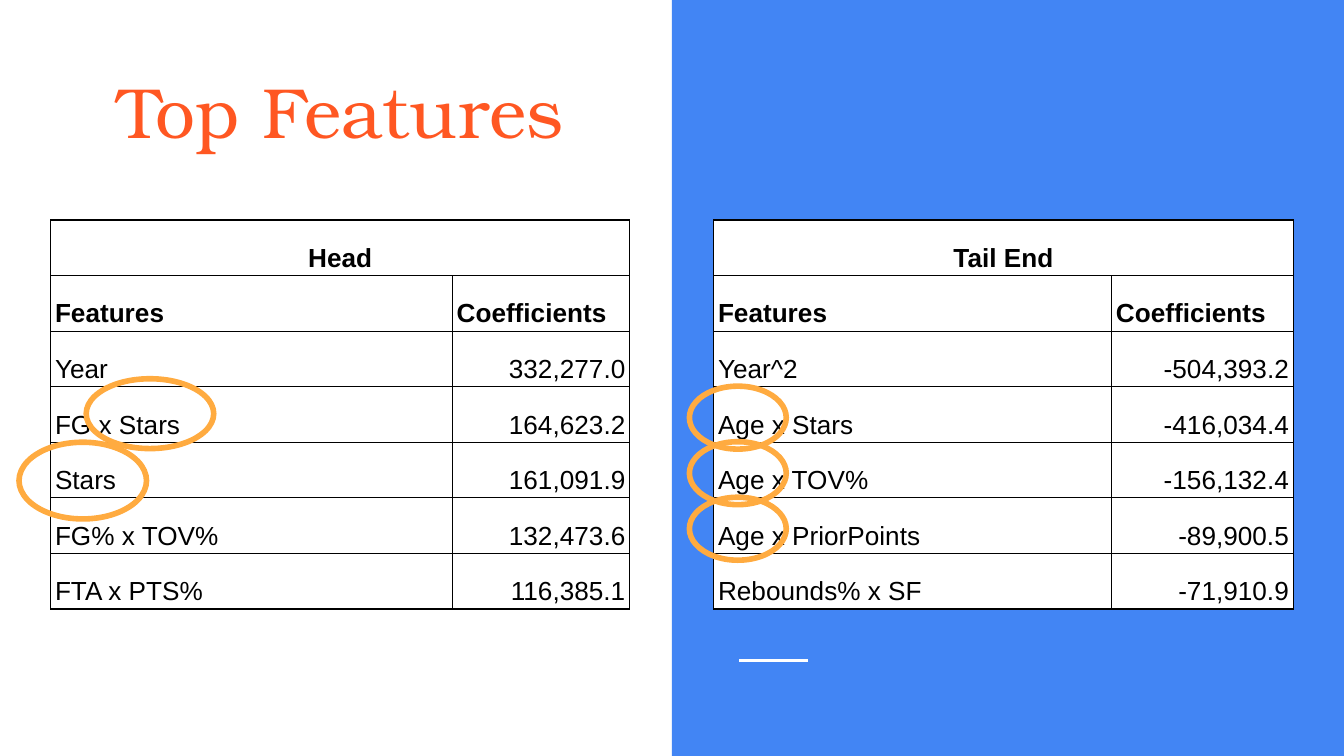
"""Build the Top Features slide with its two coefficient tables."""
from lxml.etree import SubElement as Sub
from pptx import Presentation
from pptx.dml.color import RGBColor as RGB
from pptx.enum.shapes import MSO_CONNECTOR as Link, MSO_SHAPE as Form
from pptx.enum.text import MSO_ANCHOR as Anchor, PP_ALIGN as Align
from pptx.oxml import parse_xml
from pptx.oxml.ns import nsdecls, qn
from pptx.util import Cm, Pt

theme = {
    "white": RGB.from_string("FFFFFF"),
    "black": RGB.from_string("000000"),
    "blue": RGB.from_string("4285F4"),
    "red": RGB.from_string("FF5722"),
    "gold": RGB.from_string("FFAB40"),
    "title": {"name": "TeX Gyre Bonum", "size": Pt(38), "bold": False},
    "cell": {"name": "Arial", "size": Pt(14)},
}
frame = {"word_wrap": True, "vertical_anchor": Anchor.MIDDLE,
         "margin_left": Cm(0.25), "margin_right": Cm(0.25),
         "margin_top": Cm(0.25), "margin_bottom": Cm(0.25)}
inset = {"vertical_anchor": Anchor.BOTTOM,
         "margin_left": Cm(0.08), "margin_right": Cm(0.08),
         "margin_top": Cm(0.05), "margin_bottom": Cm(0.05)}
heads = ("Features", "Coefficients")
tables = [
    (0.96, (7.59, 3.35), "Head", [
        ("Year", "332,277.0"), ("FG x Stars", "164,623.2"),
        ("Stars", "161,091.9"), ("FG% x TOV%", "132,473.6"),
        ("FTA x PTS%", "116,385.1")]),
    (13.49, (7.52, 3.43), "Tail End", [
        ("Year^2", "-504,393.2"), ("Age x Stars", "-416,034.4"),
        ("Age x TOV%", "-156,132.4"), ("Age x PriorPoints", "-89,900.5"),
        ("Rebounds% x SF", "-71,910.9")]),
]
step = 1.05
rings = [(1.63, 7.16, 2.41, 1.32), (0.36, 8.36, 2.41, 1.45)]
rings += [(13.03, 7.3 + i * step, 1.83, 1.19) for i in range(3)]


def style(item, vals):
    for key, val in vals.items():
        setattr(item, key, val)


def border(cell):
    props = cell._tc.get_or_add_tcPr()
    for i, side in enumerate(("lnL", "lnR", "lnT", "lnB")):
        props.insert(i, parse_xml(
            f'<a:{side} {nsdecls("a")} w="{Pt(0.75)}"><a:solidFill>'
            f'<a:srgbClr val="{theme["black"]}"/></a:solidFill></a:{side}>'))


deck = Presentation()
style(deck, {"slide_width": Cm(25.4), "slide_height": Cm(14.29)})
slide = deck.slides.add_slide(deck.slide_layouts[5])
shapes = slide.shapes

title = shapes.title
style(title, {"left": Cm(-1.45), "top": Cm(0.28),
              "width": Cm(15.77), "height": Cm(3.61)})
title.text = "Top Features"
style(title.text_frame, frame)
para = title.text_frame.paragraphs[0]
para.alignment = Align.CENTER
style(para.runs[0].font, theme["title"])
para.runs[0].font.color.rgb = theme["red"]

panel = shapes.add_shape(Form.RECTANGLE, Cm(12.7), 0, Cm(12.7), Cm(14.29))
panel.shadow.inherit = False
panel.fill.solid()
panel.fill.fore_color.rgb = theme["blue"]
panel.line.fill.background()

dash = shapes.add_connector(
    Link.STRAIGHT, Cm(13.97), Cm(12.48), Cm(15.27), Cm(12.48))
dash.line.color.rgb = theme["white"]
dash.line.width = Pt(1.5)
Sub(dash._element.spPr, qn("a:effectLst"))

for left, widths, name, data in tables:
    rows = [(name, ""), heads] + data
    grid = shapes.add_table(len(rows), 2, Cm(left), Cm(4.16),
                            Cm(sum(widths)), Cm(step * len(rows))).table
    style(grid, {"first_row": False, "horz_banding": False})
    for col, width in zip(grid.columns, widths):
        col.width = Cm(width)
    grid.cell(0, 0).merge(grid.cell(0, 1))
    for r, row in enumerate(rows):
        grid.rows[r].height = Cm(step)
        for c, text in enumerate(row):
            cell = grid.cell(r, c)
            style(cell, inset)
            cell.fill.solid()
            cell.fill.fore_color.rgb = theme["white"]
            border(cell)
            if cell.is_spanned:
                continue
            cell.text = text
            para = cell.text_frame.paragraphs[0]
            side = Align.RIGHT if c and r > 1 else Align.LEFT
            style(para, {"line_spacing": 1.15,
                         "alignment": side if r else Align.CENTER})
            font = para.runs[0].font
            style(font, theme["cell"] | {"bold": r < 2})
            font.color.rgb = theme["black"]

for box in rings:
    ring = shapes.add_shape(Form.OVAL, *map(Cm, box))
    ring.shadow.inherit = False
    ring.fill.background()
    ring.line.color.rgb = theme["gold"]
    ring.line.width = Pt(3)

deck.save("out.pptx")
